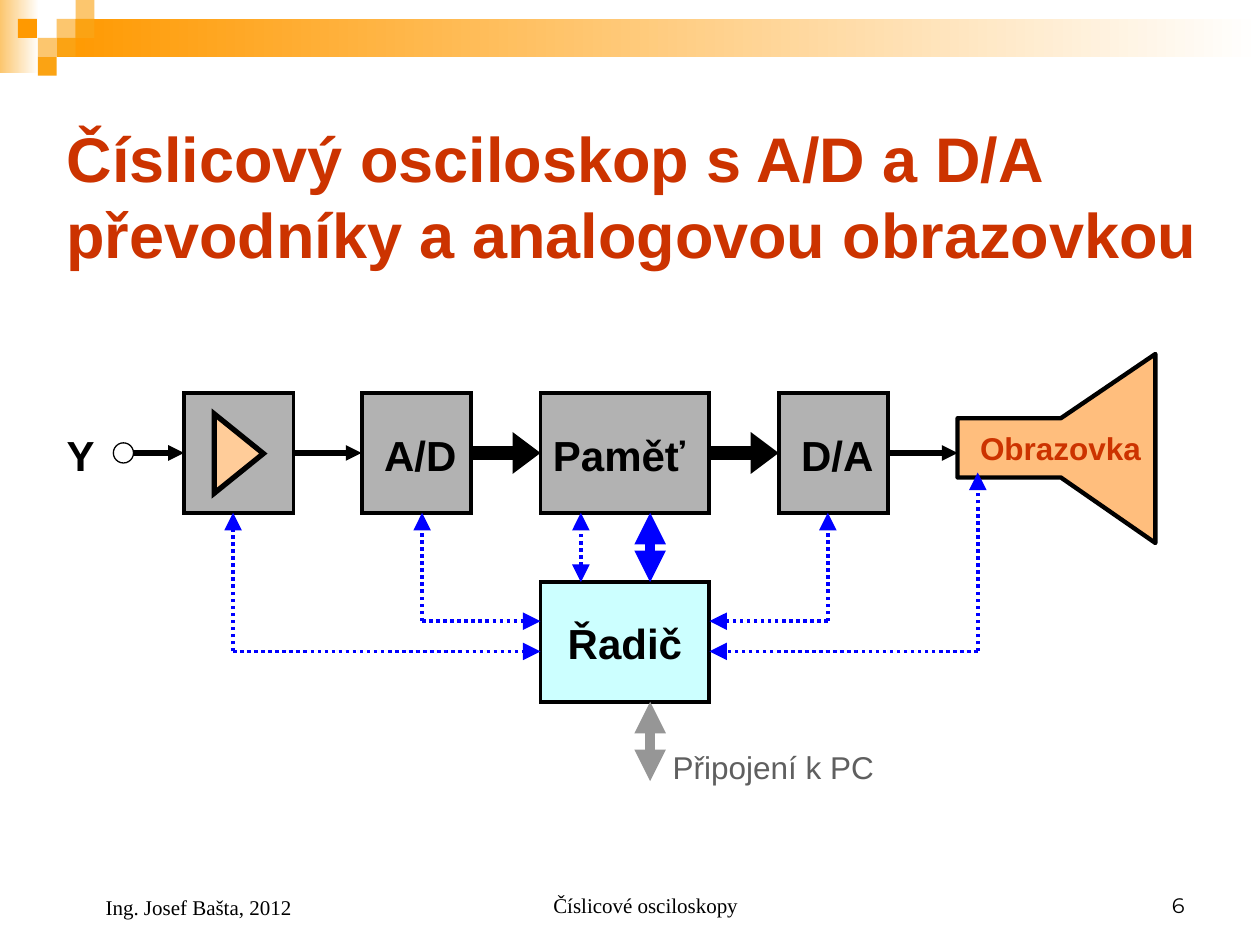
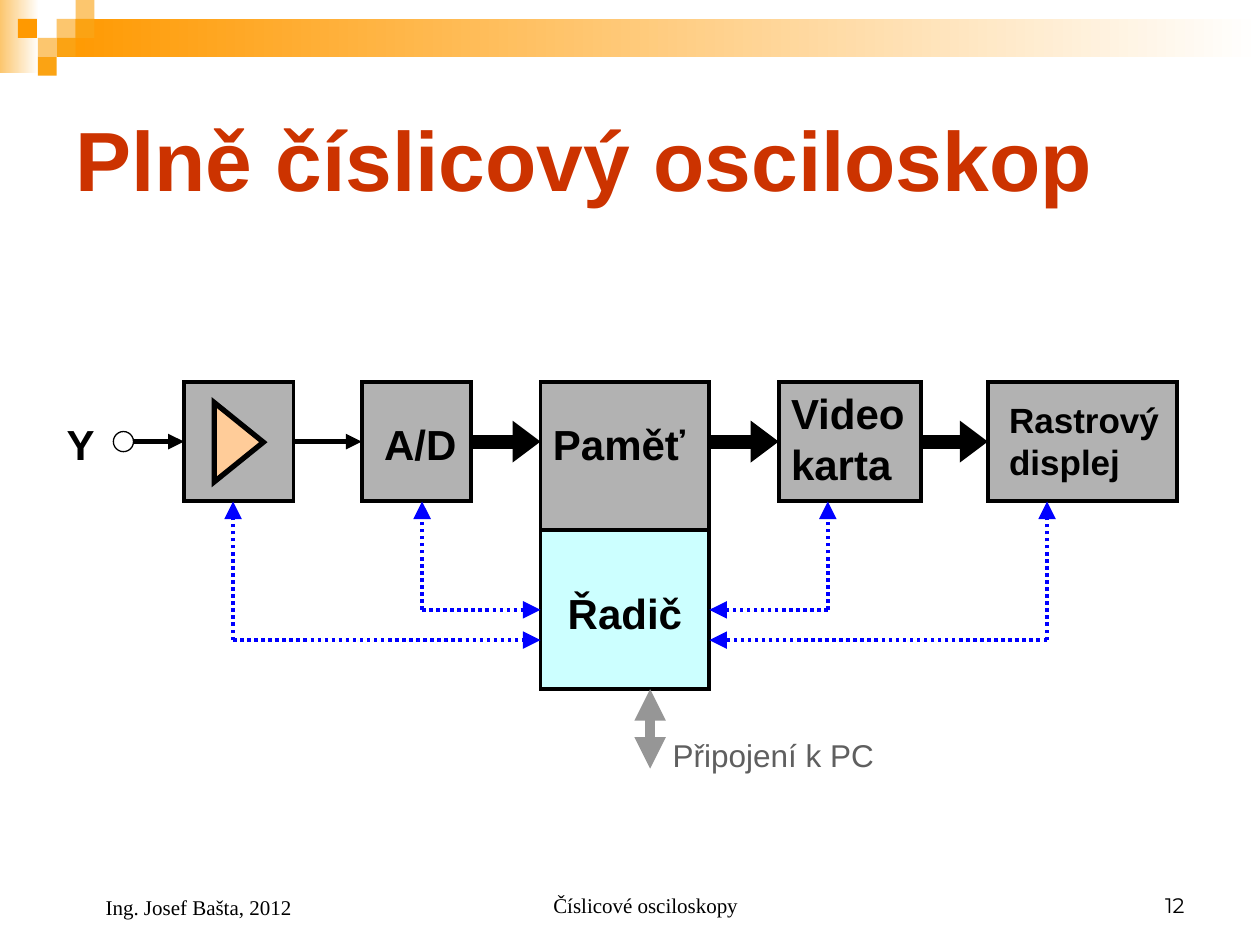
from dataclasses import dataclass

from lxml.etree import SubElement
from pptx import Presentation
from pptx.dml.color import RGBColor
from pptx.enum.dml import MSO_LINE
from pptx.enum.shapes import MSO_CONNECTOR, MSO_SHAPE
from pptx.enum.text import MSO_ANCHOR, PP_ALIGN
from pptx.oxml.ns import qn
from pptx.util import Inches, Pt


@dataclass(frozen=True)
class Theme:
    black: str = "000000"
    white: str = "FFFFFF"
    title: str = "CC3300"
    orange: str = "FF9900"
    amber: str = "FBA313"
    sand: str = "FCC66E"
    block: str = "B2B2B2"
    controller: str = "CCFFFF"
    amplifier: str = "FFCC99"
    screen: str = "FFBE7D"
    control: str = "0000FF"
    pc: str = "969696"
    pc_text: str = "5F5F5F"
    sans: str = "Arial"
    serif: str = "Times New Roman"
    number: str = "Montserrat"
    label_size: int = 24
    display_size: int = 20
    note_size: int = 18
    footer_size: int = 12
    outline: float = 2.25
    signal: float = 3
    bus: float = 8
    control_line: float = 2
    thick_control: float = 6


T = Theme()


@dataclass(frozen=True)
class Box:
    left: float
    top: float
    width: float
    height: float

    def emu(self):
        return [Inches(v) for v in (self.left, self.top, self.width, self.height)]

    @property
    def right(self):
        return self.left + self.width

    @property
    def bottom(self):
        return self.top + self.height


BLOCK_H = 0.95
AXIS = BLOCK_H / 2   # height of the signal path below the top of the blocks
LABEL_DY = 0.24      # top of a one-line label below the top of its block


def rgb(color):
    return RGBColor.from_string(color)


def paint(sp, fill=None, line=None, width=T.outline, miter=True):
    sp.shadow.inherit = False
    if fill:
        sp.fill.solid()
        sp.fill.fore_color.rgb = rgb(fill)
    else:
        sp.fill.background()
    if not line:
        sp.line.fill.background()
        return
    sp.line.color.rgb = rgb(line)
    sp.line.width = Pt(width)
    if miter:
        SubElement(sp.line._get_or_add_ln(), qn("a:miter"), lim="800000")


def add_block(slide, box, fill=T.block, line=T.black):
    sp = slide.shapes.add_shape(MSO_SHAPE.RECTANGLE, *box.emu())
    paint(sp, fill, line)
    return sp


def add_text(slide, box, text, size=T.label_size, color=T.black, font=T.sans,
             bold=True, align=PP_ALIGN.LEFT, anchor=MSO_ANCHOR.TOP, indent=0):
    tf = slide.shapes.add_textbox(*box.emu()).text_frame
    tf.word_wrap = True
    tf.vertical_anchor = anchor
    p = tf.paragraphs[0]
    p.alignment = align
    if indent:
        p._p.get_or_add_pPr().set("marL", str(Inches(indent)))
    r = p.add_run()
    r.text = text
    r.font.name, r.font.size, r.font.bold = font, Pt(size), bold
    r.font.color.rgb = rgb(color)


def add_arrow(slide, start, end, color=T.black, width=T.signal, both=False,
              dotted=False, head=("med", "med")):
    """Arrow from start to end; head is its (width, length)."""
    ends = [Inches(v) for v in (*start, *end)]
    cxn = slide.shapes.add_connector(MSO_CONNECTOR.STRAIGHT, *ends)
    cxn.line.color.rgb = rgb(color)
    cxn.line.width = Pt(width)
    if dotted:
        cxn.line.dash_style = MSO_LINE.ROUND_DOT
    ln = cxn.line._get_or_add_ln()
    for tag in ("a:headEnd", "a:tailEnd") if both else ("a:tailEnd",):
        SubElement(ln, qn(tag), type="triangle", w=head[0], len=head[1])
    SubElement(cxn._element.spPr, qn("a:effectLst"))
    return cxn


def add_signal(slide, start, end, source=None, target=None, bus=False):
    """Signal arrow, joined to the source's right and the target's left side."""
    style = dict(width=T.bus, head=("med", "sm")) if bus else {}
    cxn = add_arrow(slide, start, end, **style)
    if source:
        cxn.begin_connect(source, 3)
    if target:
        cxn.end_connect(target, 1)


def add_control(slide, start, end, both=False):
    add_arrow(slide, start, end, T.control, T.control_line, both, True,
              ("lg", "lg"))


def add_control_path(slide, block_point, controller_point):
    """Right-angled path with an arrow at the block and at the controller."""
    corner = block_point[0], controller_point[1]
    add_control(slide, corner, block_point)
    add_control(slide, corner, controller_point)


def add_header(slide, box):
    band_h, cell = 0.3, 0.15
    fades = (
        (Box(box.left, box.top, 0.31, 0.58), T.sand),
        (Box(box.left + 0.45, box.top + cell, box.width - 0.45, band_h), T.orange),
    )
    for fade, color in fades:
        sp = add_block(slide, fade, line=None)
        sp.fill.gradient()
        sp.fill.gradient_angle = 0
        for stop, shade in zip(sp.fill.gradient_stops, (color, T.white)):
            stop.color.rgb = rgb(shade)
            stop.position = 0 if shade == color else 1
    squares = ((3, 1, T.sand), (4, 0, T.sand), (4, 1, T.amber), (2, 2, T.sand),
               (0.95, 1, T.orange), (3, 2, T.amber), (2, 3, T.amber))
    for col, row, color in squares:
        square = Box(box.left + col * cell, box.top + row * cell, cell, cell)
        add_block(slide, square, color, None)


def add_footer(slide, box, number):
    style = dict(size=T.footer_size, bold=False, anchor=MSO_ANCHOR.BOTTOM)
    add_text(slide, Box(box.left + 2.92, box.top, 3.17, box.height),
             "Číslicové osciloskopy", font=T.serif, align=PP_ALIGN.CENTER,
             indent=0.24, **style)
    add_text(slide, Box(box.right - 2.33, box.top, 2.33, box.height),
             number, font=T.number, align=PP_ALIGN.RIGHT, **style)
    add_text(slide, Box(box.left, box.top, 2.33, box.height + 0.02),
             "Ing. Josef Bašta, 2012", font=T.serif, indent=0.24, **style)


def add_input_stage(slide, box):
    """Y input, amplifier and A/D converter; returns the converter block."""
    x, y = box.left, box.top
    axis = y + AXIS
    add_text(slide, Box(x, y + LABEL_DY, 0.47, 0.5), "Y")
    terminal = Box(x + 0.47, axis - 0.08, 0.16, 0.16)
    sp = slide.shapes.add_shape(MSO_SHAPE.OVAL, *terminal.emu())
    paint(sp, line=T.black, width=0.75)
    amp_box = Box(x + 1.03, y, 0.87, BLOCK_H)
    adc_box = Box(x + 2.44, y, 0.87, BLOCK_H)
    amp, adc = add_block(slide, amp_box), add_block(slide, adc_box)
    symbol = Box(amp_box.left + 0.12, axis - 0.19, 0.63, 0.39)
    sp = slide.shapes.add_shape(MSO_SHAPE.ISOSCELES_TRIANGLE, *symbol.emu())
    sp.rotation = 90
    paint(sp, T.amplifier, T.black, T.signal)
    add_text(slide, Box(adc_box.left + 0.08, y + LABEL_DY, 0.95, 0.5), "A/D")
    add_signal(slide, (terminal.right, axis), (amp_box.left, axis), target=amp)
    add_signal(slide, (amp_box.right, axis), (adc_box.left, axis), amp, adc)
    return adc


def add_core(slide, memory, controller, label_dy):
    """Memory above the controller with its PC link; returns the memory block."""
    sp = add_block(slide, memory)
    add_text(slide, Box(memory.left, memory.top + LABEL_DY, memory.width, 0.5),
             "Paměť")
    add_block(slide, controller, T.controller)
    add_text(slide, Box(controller.left, controller.top + label_dy,
                        controller.width, 0.5), "Řadič", align=PP_ALIGN.CENTER)
    x, y = controller.left + 0.87, controller.bottom
    add_arrow(slide, (x, y + 0.63), (x, y), T.pc, T.thick_control, both=True)
    add_text(slide, Box(x + 0.08, y + 0.32, 2.05, 0.4), "Připojení k PC",
             T.note_size, T.pc_text, bold=False)
    return sp


def add_control_paths(slide, box, core, output_point):
    """Control paths from the controller to the four blocks around it."""
    bottom = box.top + BLOCK_H
    inner, outer = box.top + 1.81, box.top + 2.05
    paths = (((box.left + 2.92, bottom), (core.left, inner)),
             ((box.left + 1.42, bottom), (core.left, outer)),
             ((box.left + 6.14, bottom), (core.right, inner)),
             (output_point, (core.right, outer)))
    for block_point, controller_point in paths:
        add_control_path(slide, block_point, controller_point)


def add_crt(slide, box):
    neck_x = box.left + 0.82
    points = [(box.left, box.top + 0.51), (neck_x, box.top + 0.51),
              (box.right, box.top), (box.right, box.bottom),
              (neck_x, box.top + 0.98), (box.left, box.top + 0.98)]
    points = [(Inches(x), Inches(y)) for x, y in points]
    builder = slide.shapes.build_freeform(*points[0])
    builder.add_line_segments(points[1:], close=True)
    paint(builder.convert_to_shape(), T.screen, T.black, 2.5, miter=False)
    add_text(slide, Box(box.left + 0.08, box.top + 0.55, 1.5, 0.4), "Obrazovka",
             T.note_size, T.title)


def add_analog_diagram(slide, box):
    x, y = box.left, box.top
    axis = y + AXIS
    memory_box = Box(x + 3.86, y, 1.34, BLOCK_H)
    controller = Box(memory_box.left, y + 1.5, 1.34, BLOCK_H)
    dac_box = Box(x + 5.75, y, 0.87, BLOCK_H)
    crt = Box(x + 7.17, y - 0.31, 1.57, 1.5)

    adc = add_input_stage(slide, box)
    memory = add_core(slide, memory_box, controller, 0.23)
    dac = add_block(slide, dac_box)
    add_text(slide, Box(dac_box.left + 0.08, y + LABEL_DY, 0.95, 0.5), "D/A")
    add_crt(slide, crt)
    add_signal(slide, (x + 3.31, axis), (memory_box.left, axis), adc, memory, True)
    add_signal(slide, (memory_box.right, axis), (dac_box.left, axis),
               memory, dac, True)
    add_signal(slide, (dac_box.right, axis), (crt.left, axis), dac)
    add_control_paths(slide, box, controller, (crt.left + 0.16, y + 0.63))
    add_control(slide, (x + 4.18, controller.top), (x + 4.18, memory_box.bottom),
                both=True)
    add_arrow(slide, (x + 4.73, controller.top), (x + 4.73, memory_box.bottom),
              T.control, T.thick_control, both=True)


def add_digital_diagram(slide, box):
    x, y = box.left, box.top
    axis = y + AXIS
    memory_box = Box(x + 3.86, y, 1.34, 1.18)
    controller = Box(memory_box.left, memory_box.bottom, 1.34, 1.26)
    video_box = Box(x + 5.75, y, 1.13, BLOCK_H)
    display_box = Box(x + 7.41, y, 1.5, BLOCK_H)

    adc = add_input_stage(slide, box)
    add_core(slide, memory_box, controller, 0.4)
    video, display = add_block(slide, video_box), add_block(slide, display_box)
    add_text(slide, Box(video_box.left, y, 1.24, 0.9), "Video karta")
    add_text(slide, Box(display_box.left + 0.07, y + 0.08, 1.42, 0.77),
             "Rastrový displej", T.display_size)
    add_signal(slide, (x + 3.31, axis), (memory_box.left, axis), adc, bus=True)
    add_signal(slide, (memory_box.right, axis), (video_box.left, axis),
               target=video, bus=True)
    add_signal(slide, (video_box.right, axis), (display_box.left, axis),
               video, display, True)
    add_control_paths(slide, box, controller,
                      (display_box.left + 0.47, display_box.bottom))


def add_diagram_slide(prs, title, title_box, title_size, number, draw, box):
    slide = prs.slides.add_slide(prs.slide_layouts[6])
    add_header(slide, Box(0, 0, 10, 0.6))
    add_text(slide, title_box, title, title_size, T.title,
             anchor=MSO_ANCHOR.MIDDLE)
    draw(slide, box)
    add_footer(slide, Box(0.5, 6.83, 9, 0.5), number)


def main():
    prs = Presentation()
    prs.slide_width, prs.slide_height = Inches(10), Inches(7.5)
    add_diagram_slide(
        prs, "Číslicový osciloskop s A/D a D/A převodníky a analogovou obrazovkou",
        Box(0.43, 0.84, 9.23, 1.42), 36, "6",
        add_analog_diagram, Box(0.43, 3.12, 8.74, 3.16))
    add_diagram_slide(
        prs, "Plně číslicový osciloskop", Box(0.5, 0.5, 9, 1.5), 48, "12",
        add_digital_diagram, Box(0.43, 3.03, 8.91, 3.16))
    prs.save("out.pptx")


if __name__ == "__main__":
    main()
